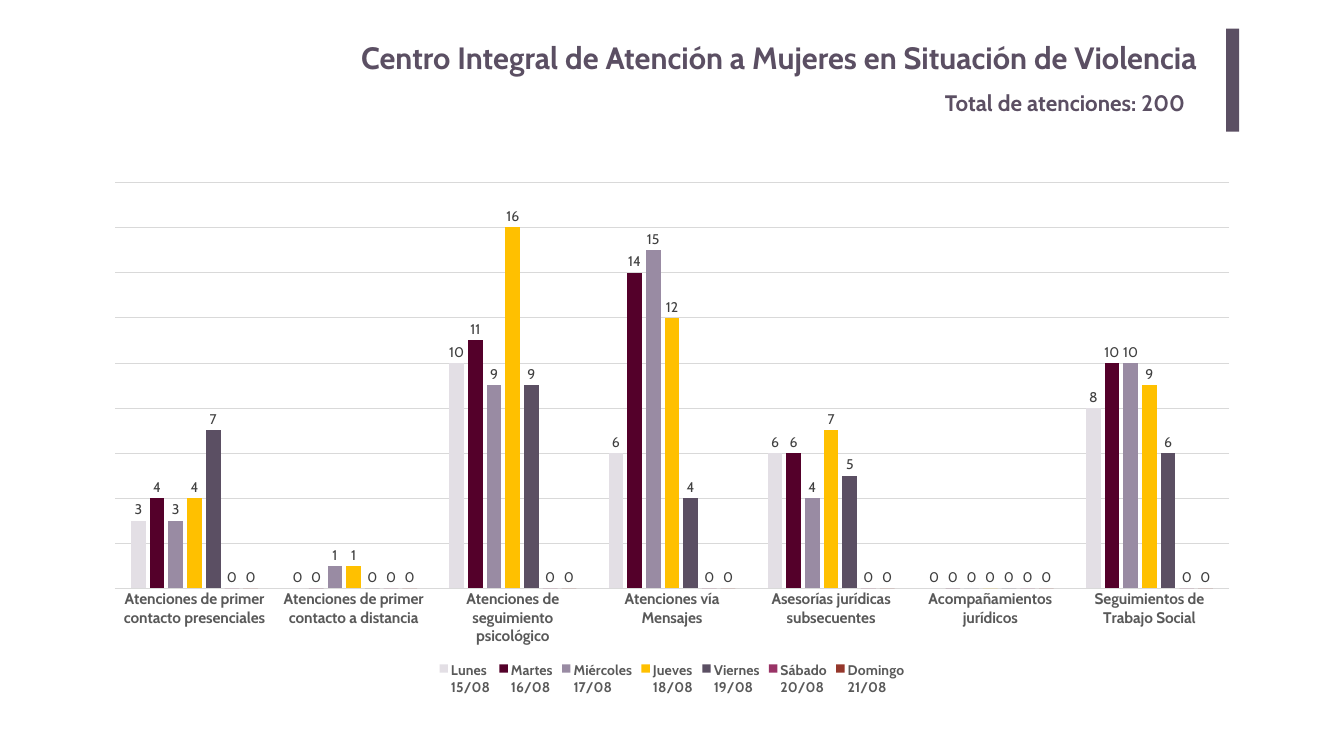
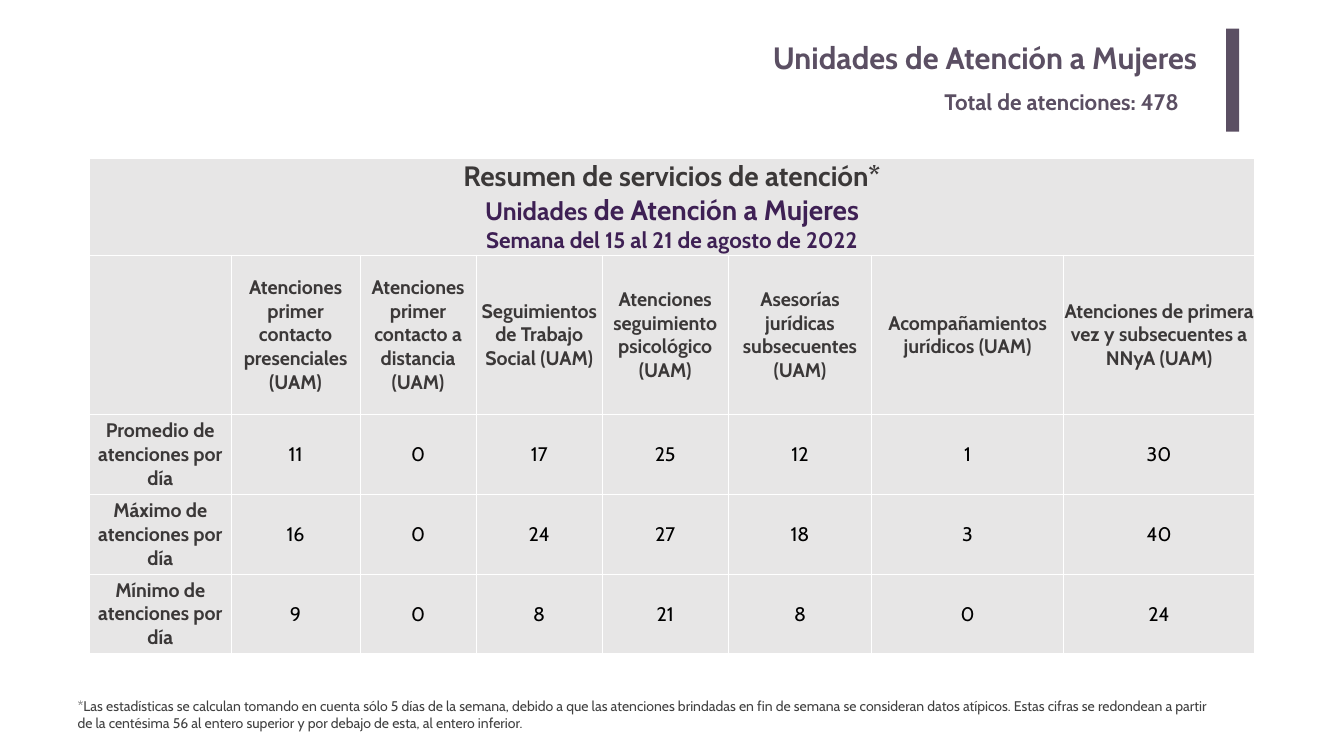
from dataclasses import dataclass

from lxml.etree import SubElement
from pptx import Presentation
from pptx.chart.data import CategoryChartData
from pptx.dml.color import RGBColor
from pptx.enum.chart import XL_CHART_TYPE, XL_LABEL_POSITION, XL_LEGEND_POSITION, XL_TICK_MARK
from pptx.enum.shapes import MSO_SHAPE
from pptx.enum.text import MSO_ANCHOR, MSO_AUTO_SIZE, PP_ALIGN
from pptx.oxml import parse_xml
from pptx.oxml.ns import nsdecls, qn
from pptx.util import Inches, Pt

FACE = "Cabin"
PLUM = "5B4F63"
DARK = "404040"
GRAY = "595959"
GRID = "D9D9D9"
CELL = "E7E6E6"
INK = "3B3838"
VIOLET = "3E2054"
BLACK = "000000"
WHITE = "FFFFFF"


@dataclass(frozen=True)
class Box:
    left: float
    top: float
    width: float
    height: float

    def place(self) -> tuple:
        return tuple(Inches(n) for n in (self.left, self.top, self.width, self.height))


@dataclass(frozen=True)
class Style:
    size: float
    color: str
    bold: bool = False


@dataclass(frozen=True)
class Day:
    name: str
    color: str
    counts: tuple


TITLE = Style(44, PLUM, True)
TOTAL = Style(32, PLUM, True)
NOTE = Style(20, DARK)
HEAD = Style(28, INK, True)
VALUE = Style(28, BLACK)

GROUPS = (
    "Atenciones de primer contacto presenciales",
    "Atenciones de primer contacto a distancia",
    "Atenciones de seguimiento psicológico",
    "Atenciones vía Mensajes",
    "Asesorías jurídicas subsecuentes",
    "Acompañamientos jurídicos",
    "Seguimientos de Trabajo Social",
)
DAYS = (
    Day("Lunes\n15/08", "E3DFE5", (3, 0, 10, 6, 6, 0, 8)),
    Day("Martes\n16/08", "54002A", (4, 0, 11, 14, 6, 0, 10)),
    Day("Miércoles\n17/08", "998BA3", (3, 1, 9, 15, 4, 0, 10)),
    Day("Jueves\n18/08", "FFC000", (4, 1, 16, 12, 7, 0, 9)),
    Day("Viernes\n19/08", PLUM, (7, 0, 9, 4, 5, 0, 6)),
    Day("Sábado\n20/08", "993366", (0,) * 7),
    Day("Domingo\n21/08", "95372B", (0,) * 7),
)
PLOT = {"x": 0.02, "y": 0.02, "w": 0.96, "h": 0.77}

WIDTHS = (2.82, 2.55, 2.31, 2.5, 2.5, 2.85, 3.8, 3.8)
HEIGHTS = (1.91, 3.17, 1.58, 1.58, 1.58)
BANNER = (
    (("Resumen de servicios de atención*", Style(40, INK, True)),),
    (("Unidades", Style(36, VIOLET, True)),
     (" de Atención a Mujeres", Style(40, VIOLET, True))),
    (("Semana del 15 al 21 de agosto de 2022", Style(32, VIOLET, True)),),
)
ROWS = (
    ("", "Atenciones primer contacto presenciales (UAM)",
     "Atenciones primer contacto a distancia (UAM)",
     "Seguimientos de Trabajo Social (UAM)",
     "Atenciones seguimiento psicológico (UAM)",
     "Asesorías jurídicas subsecuentes (UAM)",
     "Acompañamientos jurídicos (UAM)",
     "Atenciones de primera vez y subsecuentes a NNyA (UAM)"),
    ("Promedio de atenciones por día", 11, 0, 17, 25, 12, 1, 30),
    ("Máximo de atenciones por día", 16, 0, 24, 27, 18, 3, 40),
    ("Mínimo de atenciones por día", 9, 0, 8, 21, 8, 0, 24),
)
FOOT = (
    "*Las estadísticas se calculan tomando en cuenta sólo 5 días de la semana, "
    "debido a que las atenciones brindadas en fin de semana se consideran datos "
    "atípicos. Estas cifras se redondean a partir de la centésima 56 al entero "
    "superior y por debajo de esta, al entero inferior."
)


def tint(code: str) -> RGBColor:
    return RGBColor.from_string(code)


def dress(font, style: Style) -> None:
    font.name = FACE
    font.size = Pt(style.size)
    font.bold = style.bold
    font.color.rgb = tint(style.color)


def paint(fill, code: str) -> None:
    fill.solid()
    fill.fore_color.rgb = tint(code)


def rule(line, code: str) -> None:
    line.color.rgb = tint(code)
    line.width = Pt(0.75)


def write(slide, box: Box, text: str, style: Style, align=PP_ALIGN.LEFT,
          pad: float = 0.1, grow: bool = True) -> None:
    frame = slide.shapes.add_textbox(*box.place()).text_frame
    frame.word_wrap = True
    frame.auto_size = MSO_AUTO_SIZE.SHAPE_TO_FIT_TEXT if grow else MSO_AUTO_SIZE.NONE
    frame.margin_left = frame.margin_right = Inches(pad)
    frame.margin_top = frame.margin_bottom = Inches(pad / 2)
    frame.text = text
    line = frame.paragraphs[0]
    line.alignment = align
    dress(line.runs[0].font, style)


def add_head(slide, title: str, total: str, box: Box) -> None:
    write(slide, Box(3.66, 0.67, 20.3, 1.02), title, TITLE, PP_ALIGN.RIGHT, 0.2, False)
    bar = slide.shapes.add_shape(MSO_SHAPE.RECTANGLE, *Box(24.33, 0.57, 0.26, 2.04).place())
    bar.shadow.inherit = False
    paint(bar.fill, PLUM)
    bar.line.fill.background()
    write(slide, box, total, TOTAL)


def fix_plot(chart) -> None:
    area = chart.element.find(f".//{qn('c:plotArea')}")
    old = area.find(qn("c:layout"))
    if old is not None:
        area.remove(old)
    layout = parse_xml(f"<c:layout {nsdecls('c')}/>")
    manual = SubElement(layout, qn("c:manualLayout"))
    parts = {"layoutTarget": "inner", "xMode": "edge", "yMode": "edge", **PLOT}
    for name, value in parts.items():
        SubElement(manual, qn(f"c:{name}")).set("val", str(value))
    area.insert(0, layout)


def add_bars(slide, box: Box) -> None:
    data = CategoryChartData()
    data.categories = GROUPS
    for day in DAYS:
        data.add_series(day.name, day.counts)
    chart = slide.shapes.add_chart(XL_CHART_TYPE.COLUMN_CLUSTERED, *box.place(), data).chart
    dress(chart.font, Style(10, BLACK))
    chart.has_title = False
    chart.has_legend = True
    chart.legend.position = XL_LEGEND_POSITION.BOTTOM
    chart.legend.include_in_layout = False
    dress(chart.legend.font, Style(20, GRAY, True))

    base = chart.category_axis
    base.major_tick_mark = base.minor_tick_mark = XL_TICK_MARK.NONE
    dress(base.tick_labels.font, Style(22, GRAY, True))
    rule(base.format.line, GRID)
    scale = chart.value_axis
    scale.visible = False
    scale.minimum_scale = 0
    scale.maximum_scale = 18
    scale.major_unit = 2
    scale.has_major_gridlines = True
    rule(scale.major_gridlines.format.line, GRID)

    plot = chart.plots[0]
    plot.gap_width = 219
    plot.overlap = -27
    plot.vary_by_categories = False
    for day, bars in zip(DAYS, plot.series):
        paint(bars.format.fill, day.color)
        bars.invert_if_negative = False
        labels = bars.data_labels
        labels.show_value = True
        labels.position = XL_LABEL_POSITION.OUTSIDE_END
        dress(labels.font, NOTE)
    fix_plot(chart)


def edge(cell) -> None:
    props = cell._tc.get_or_add_tcPr()
    for spot, side in enumerate(("lnL", "lnR", "lnT", "lnB")):
        props.insert(spot, parse_xml(
            f'<a:{side} {nsdecls("a")} w="12700"><a:solidFill>'
            f'<a:srgbClr val="{WHITE}"/></a:solidFill></a:{side}>'))


def fill_cell(cell, lines: tuple, pad: float = 0) -> None:
    cell.vertical_anchor = MSO_ANCHOR.MIDDLE
    cell.margin_left = cell.margin_right = cell.margin_top = Inches(pad)
    cell.margin_bottom = 0
    frame = cell.text_frame
    for spot, parts in enumerate(lines):
        line = frame.add_paragraph() if spot else frame.paragraphs[0]
        line.alignment = PP_ALIGN.CENTER
        for text, style in parts:
            run = line.add_run()
            run.text = text
            dress(run.font, style)


def add_grid(slide, box: Box) -> None:
    table = slide.shapes.add_table(len(HEIGHTS), len(WIDTHS), *box.place()).table
    table.first_row = table.horz_banding = False
    for column, width in zip(table.columns, WIDTHS):
        column.width = Inches(width)
    for row, height in zip(table.rows, HEIGHTS):
        row.height = Inches(height)
    for cell in table.iter_cells():
        paint(cell.fill, CELL)
        edge(cell)
    table.cell(0, 0).merge(table.cell(0, len(WIDTHS) - 1))
    fill_cell(table.cell(0, 0), BANNER)
    for down, row in enumerate(ROWS, 1):
        for across, item in enumerate(row):
            if item == "":
                continue
            count = isinstance(item, int)
            style = VALUE if count else HEAD
            fill_cell(table.cell(down, across), (((str(item), style),),), 0.01 if count else 0)


def main() -> None:
    deck = Presentation()
    deck.slide_width = Inches(26.67)
    deck.slide_height = Inches(15)
    blank = deck.slide_layouts[6]

    center = deck.slides.add_slide(blank)
    add_head(center, "Centro Integral de Atención a Mujeres en Situación de Violencia",
             "Total de atenciones: 200", Box(18.65, 1.71, 5.31, 0.65))
    add_bars(center, Box(1.82, 3.41, 23.03, 10.46))

    units = deck.slides.add_slide(blank)
    add_grid(units, Box(1.77, 3.15, 23.13, 9.82))
    write(units, Box(1.44, 13.79, 22.77, 0.77), FOOT, NOTE)
    add_head(units, "Unidades de Atención a Mujeres",
             "Total de atenciones: 478", Box(18.64, 1.69, 5.38, 0.64))

    deck.save("out.pptx")


if __name__ == "__main__":
    main()
